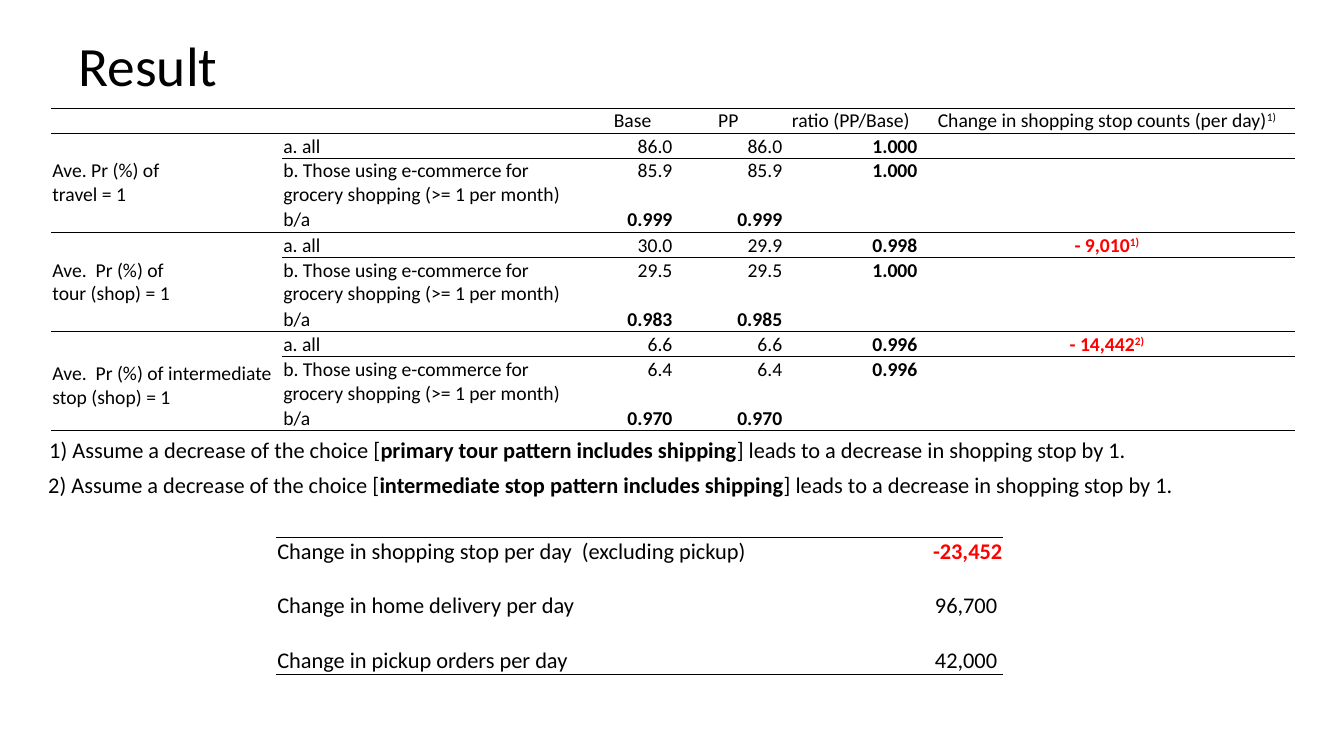
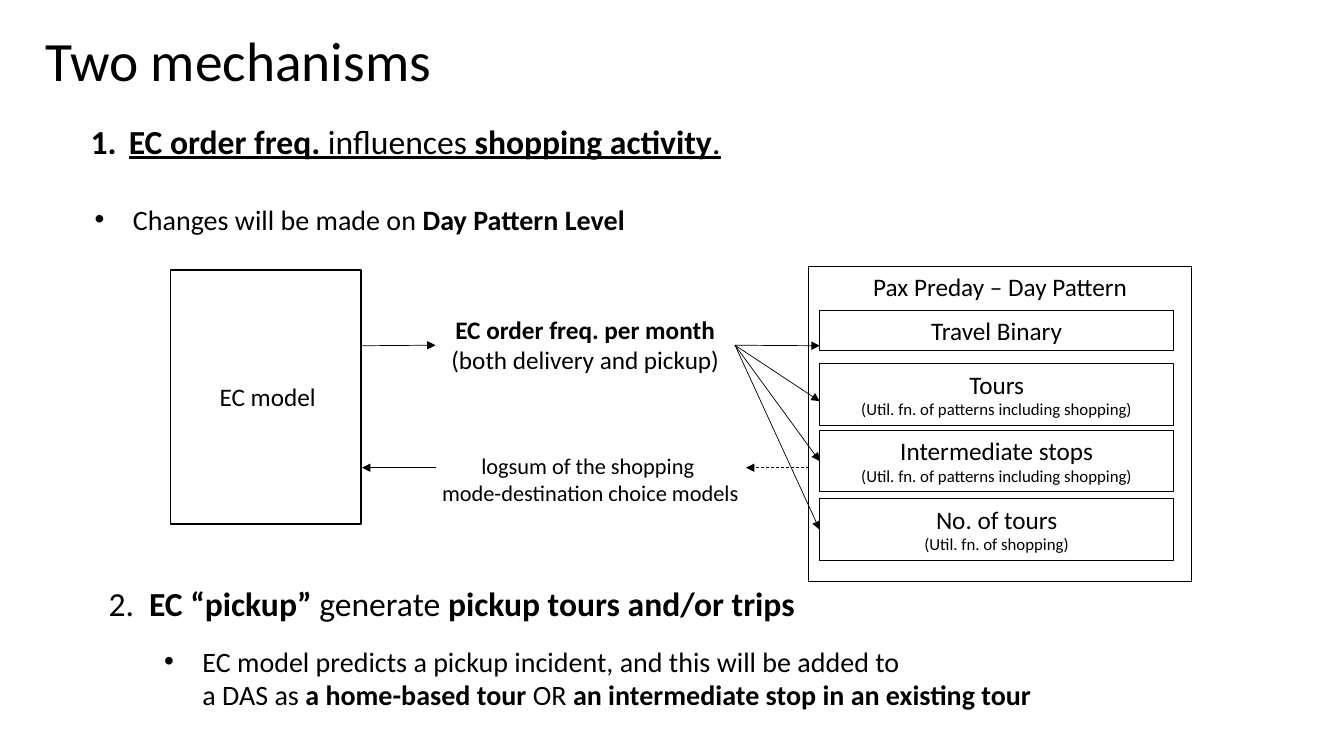
from lxml.etree import SubElement as Sub
from pptx import Presentation
from pptx.dml.color import RGBColor as RGB
from pptx.enum.dml import MSO_LINE_DASH_STYLE as Dash
from pptx.enum.shapes import MSO_CONNECTOR as Conn, MSO_SHAPE as Shape
from pptx.enum.text import MSO_ANCHOR as Anchor, MSO_AUTO_SIZE as Fit, PP_ALIGN as Align
from pptx.oxml.ns import qn
from pptx.util import Inches, Pt

FONT = "Calibri"
HEX = {"ink": "000000", "alert": "FF0000"}
PLAIN_GRID = "{2D5ABB26-0587-4C30-8999-92F81FD0307C}"
SIDES = {"l": Align.LEFT, "c": Align.CENTER, "r": Align.RIGHT}

# In all texts *stars* mark bold and ^ starts a superscript.
HEAD = ["", "", "Base", "PP", "ratio (PP/Base)",
        "Change in shopping stop counts (per day)^1)"]
USERS = "b. Those using e-commerce for grocery shopping (>= 1 per month)"
# label, space below it, values of all, values of users, b/a, change in stops
GROUPS = [
    ("Ave. Pr (%) of \ntravel = 1", 0.25,
     ["86.0", "86.0", "*1.000*"], ["85.9", "85.9", "*1.000*"],
     ["*0.999*", "*0.999*"], ""),
    ("Ave.  Pr (%) of \ntour (shop) = 1", 0.25,
     ["30.0", "29.9", "*0.998*"], ["29.5", "29.5", "*1.000*"],
     ["*0.983*", "*0.985*"], "*- 9,010*^1)"),
    ("Ave.  Pr (%) of intermediate stop (shop) = 1", 0.21,
     ["6.6", "6.6", "*0.996*"], ["6.4", "6.4", "*0.996*"],
     ["*0.970*", "*0.970*"], "*- 14,442*^2)"),
]
NOTES = [
    ((0.39, 4.28, 11.26, 0.37), "1) Assume a decrease of the choice [*primary tour pattern "
     "includes shipping*] leads to a decrease in shopping stop by 1."),
    ((0.38, 4.63, 11.68, 0.37), "2) Assume a decrease of the choice [*intermediate stop pattern "
     "includes shipping*] leads to a decrease in shopping stop by 1."),
]
TOTALS = [
    ["Change in shopping stop per day  (excluding pickup)", "*-23,452*"],
    ["Change in home delivery per day", "96,700 "],
    ["Change in pickup orders per day", "42,000 "],
]

# place, text, size, hanging indent, bullet
POINTS = [
    ((0.8, 1.15, 10.63, 0.5), "*EC order freq. *influences *shopping activity*.", 24, 0.38, "1."),
    ((0.84, 1.96, 7.19, 0.44), "Changes will be made on *Day Pattern Level*", 20, 0.38, "•"),
    ((0.98, 5.73, 8.55, 0.5), "2.\t*EC “pickup” *generate *pickup tours and/or trips*", 24, 0.4, ""),
    ((1.53, 6.34, 9.19, 0.77), "EC model predicts a pickup incident, and this will be added to \n"
     "a DAS as *a home-based tour *OR *an intermediate stop in an existing tour*", 20, 0.38, "•"),
]
PATTERN = "(Util. fn. of patterns including shopping)"
# top, height, name, detail
STEPS = [
    (3.08, 0.4, "Travel Binary", ""),
    (3.61, 0.61, "Tours", PATTERN),
    (4.27, 0.61, "Intermediate stops", PATTERN),
    (4.95, 0.61, "No. of tours", "(Util. fn. of shopping)"),
]


def write(para, text, size, side="l", color="ink", under=False):
    """Fill a paragraph from marked-up text."""
    para.alignment = SIDES[side]
    main, _, sup = text.partition("^")
    parts = [(part, i % 2 == 1, False) for i, part in enumerate(main.split("*"))]
    if sup:
        parts.append((sup, parts[-2][1] if len(parts) > 1 else False, True))
    for part, bold, raised in parts:
        for i, line in enumerate(part.split("\n")):
            if i:
                para.add_line_break()
            if not line:
                continue
            run = para.add_run()
            run.text = line
            font = run.font
            font.name, font.size, font.bold = FONT, Pt(size), bold
            font.color.rgb = RGB.from_string(HEX[color])
            if under:
                font.underline = True
            if raised:
                font._element.set("baseline", "30000")
    mark = str(round(size * 100))
    for gap in para._p.findall(qn("a:br")):
        Sub(gap, qn("a:rPr"), sz=mark)
    Sub(para._p, qn("a:endParaRPr"), sz=mark)


def hang(para, depth, bullet):
    props = para._p.get_or_add_pPr()
    props.set("marL", str(Inches(depth)))
    props.set("indent", str(-Inches(depth)))
    if bullet == "•":
        Sub(props, qn("a:buFont"), typeface="Arial")
        Sub(props, qn("a:buChar"), char=bullet)
    elif bullet:
        Sub(props, qn("a:buAutoNum"), type="arabicPeriod")


def place(at):
    return [Inches(n) for n in at]


def add_page(deck, title, at):
    page = deck.slides.add_slide(deck.slide_layouts[5])
    head = page.shapes.title
    head.left, head.top, head.width, head.height = place(at)
    frame = head.text_frame
    frame.auto_size, frame.vertical_anchor = Fit.NONE, Anchor.MIDDLE
    para = frame.paragraphs[0]
    para.line_spacing = 0.9
    write(para, title, 39.6)
    return page


def add_text(page, at, lines, side="l", wrap=True, **style):
    """Add a text box; lines holds (text, size) pairs."""
    item = page.shapes.add_textbox(*place(at))
    fill_text(item, lines, side, wrap, **style)
    return item


def fill_text(item, lines, side, wrap=True, **style):
    frame = item.text_frame
    frame.word_wrap, frame.vertical_anchor = wrap, Anchor.TOP
    for i, (text, size) in enumerate(lines):
        para = frame.add_paragraph() if i else frame.paragraphs[0]
        write(para, text, size, side, **style)


def add_box(page, at, lines=(), width=0.75):
    item = page.shapes.add_shape(Shape.RECTANGLE, *place(at))
    item.shadow.inherit = False
    item.fill.background()
    item.line.color.rgb = RGB.from_string(HEX["ink"])
    item.line.width = Pt(width)
    fill_text(item, lines, "c")
    return item


def add_arrow(page, start, end, dashed=False):
    """Each end is a point, or a (shape, side) pair to join."""
    joins = [hasattr(spot[0], "shape_id") for spot in (start, end)]
    ends = [(0, 0) if join else spot for spot, join in zip((start, end), joins)]
    line = page.shapes.add_connector(Conn.STRAIGHT, *place(ends[0] + ends[1]))
    if joins[0]:
        line.begin_connect(*start)
    if joins[1]:
        line.end_connect(*end)
    line.line.color.rgb = RGB.from_string(HEX["ink"])
    line.line.width = Pt(0.5)
    if dashed:
        line.line.dash_style = Dash.DASH
    Sub(line.line._get_or_add_ln(), qn("a:tailEnd"), type="triangle")
    Sub(line._element.spPr, qn("a:effectLst"))


def add_grid(page, left, top, cols, rows):
    at = (left, top, sum(cols), sum(rows))
    grid = page.shapes.add_table(len(rows), len(cols), *place(at)).table
    grid.first_row = grid.horz_banding = False
    grid._tbl.tblPr.find(qn("a:tableStyleId")).text = PLAIN_GRID
    for col, width in zip(grid.columns, cols):
        col.width = Inches(width)
    for row, height in zip(grid.rows, rows):
        row.height = Inches(height)
    return grid


def set_cell(cell, text, size, side, color="ink", anchor=Anchor.BOTTOM, rules=()):
    cell.margin_left = cell.margin_right = cell.margin_top = Inches(0.01)
    cell.margin_bottom = 0
    cell.vertical_anchor = anchor
    write(cell.text_frame.paragraphs[0], text, size, side, color)
    props = cell._tc.get_or_add_tcPr()
    for edge in rules:
        line = Sub(props, qn("a:ln" + edge), w=str(Pt(0.5)))
        Sub(Sub(line, qn("a:solidFill")), qn("a:srgbClr"), val=HEX["ink"])
    cell.fill.background()


def add_result(deck):
    page = add_page(deck, "Result", (0.68, 0.41, 11.5, 0.54))
    body = [HEAD]
    for label, _, every, users, ratio, change in GROUPS:
        body += [[label, "a. all", *every, change],
                 ["", USERS, *users, ""],
                 ["", "b/a", *ratio, "", ""]]
    grid = add_grid(page, 0.51, 1.07, [2.29, 3.07, 0.81, 1.09, 1.34, 3.74],
                    [0.25] + [0.25, 0.48, 0.25] * len(GROUPS))
    for r, row in enumerate(body):
        first, last = r % 3 == 1, r % 3 == 0
        for c, text in enumerate(row):
            rules = ["T"] if first or r == 0 else []
            if last or (first and c == 0):
                rules.append("B")
            users = r % 3 == 2 and c > 1
            set_cell(grid.cell(r, c), text, 14,
                     "c" if r == 0 or c == 5 else "l" if c < 2 else "r",
                     "alert" if r and c == 5 else "ink",
                     Anchor.TOP if users else Anchor.BOTTOM, rules)
    for i, group in enumerate(GROUPS):
        label = grid.cell(3 * i + 1, 0)
        label.merge(grid.cell(3 * i + 3, 0))
        label.margin_bottom = Inches(group[1])

    for at, text in NOTES:
        add_text(page, at, [(text, 16)])

    sums = add_grid(page, 2.74, 5.33, [4.91, 2.3], [0.28, 0.54, 0.54])
    edges = ["T"], [], ["B"]
    for r, (name, value) in enumerate(TOTALS):
        set_cell(sums.cell(r, 0), name, 16, "l", rules=edges[r])
        set_cell(sums.cell(r, 1), value, 16, "r", "ink" if r else "alert", rules=edges[r])


def add_mechanisms(deck):
    page = add_page(deck, "Two mechanisms", (0.35, 0.32, 11.5, 0.62))
    for i, (at, text, size, depth, bullet) in enumerate(POINTS):
        item = add_text(page, at, [(text, size)], under=i == 0)
        hang(item.text_frame.paragraphs[0], depth, bullet)

    add_box(page, (1.69, 2.68, 1.89, 2.52), width=1)
    add_text(page, (2.07, 3.73, 1.17, 0.4), [("EC model", 18)], "c", wrap=False)
    freq = add_text(page, (4.32, 3.07, 2.97, 0.71),
                    [("*EC order freq. per month\n*(both delivery and pickup)", 18)], "c")
    add_text(page, (4.1, 4.44, 3.51, 0.64),
             [("logsum of the shopping \nmode-destination choice models", 16)], "c")
    add_box(page, (8.02, 2.64, 3.8, 3.13), [("Pax Preday – Day Pattern", 18)])
    steps = []
    for top, height, name, detail in STEPS:
        lines = [(name, 18)] + ([(detail, 12)] if detail else [])
        steps.append(add_box(page, (8.13, top, 3.51, height), lines))

    add_arrow(page, (3.59, 3.43), (freq, 1))
    add_arrow(page, (4.32, 4.64), (3.59, 4.64))
    add_arrow(page, (8.02, 4.64), (7.4, 4.64), dashed=True)
    for end in [(8.13, 3.43), (8.13, 3.98), (steps[2], 1), (steps[3], 1)]:
        add_arrow(page, (freq, 3), end)


def main():
    deck = Presentation()
    deck.slide_width, deck.slide_height = Inches(13.33), Inches(7.5)
    add_result(deck)
    add_mechanisms(deck)
    deck.save("out.pptx")


if __name__ == "__main__":
    main()
